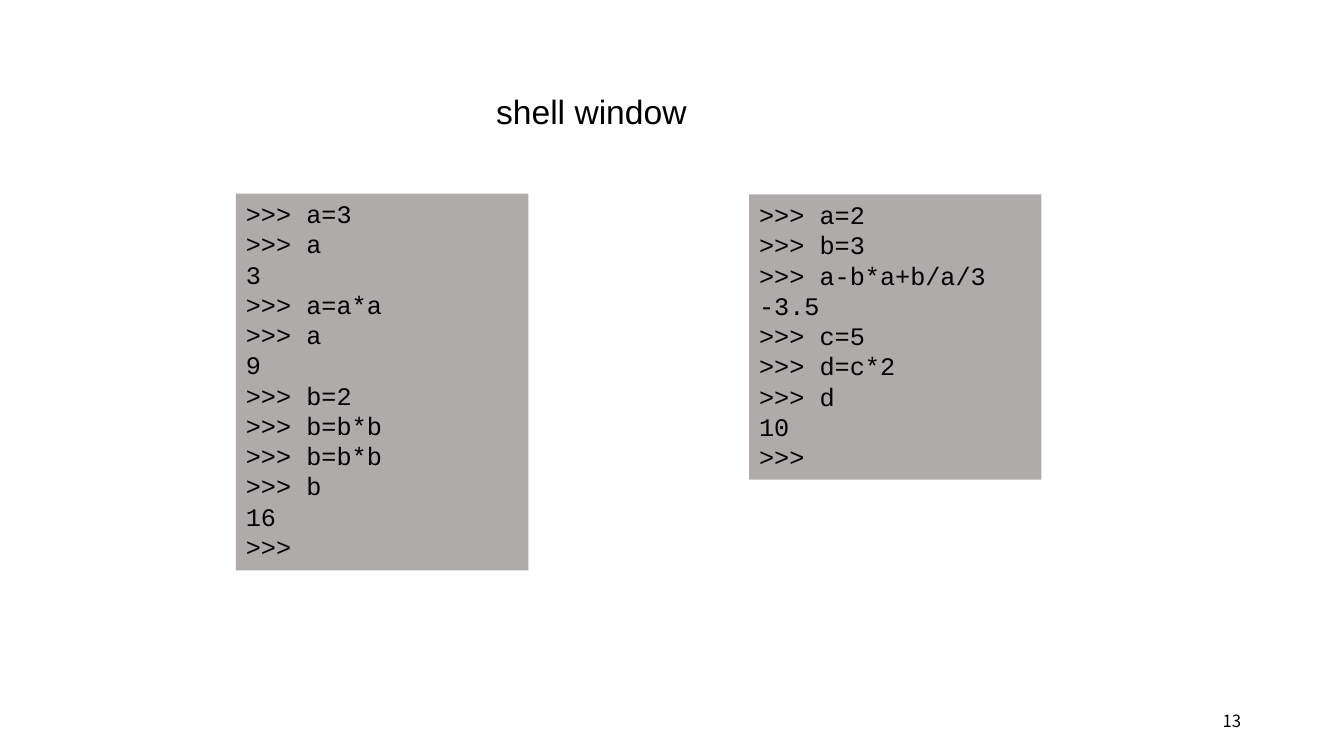
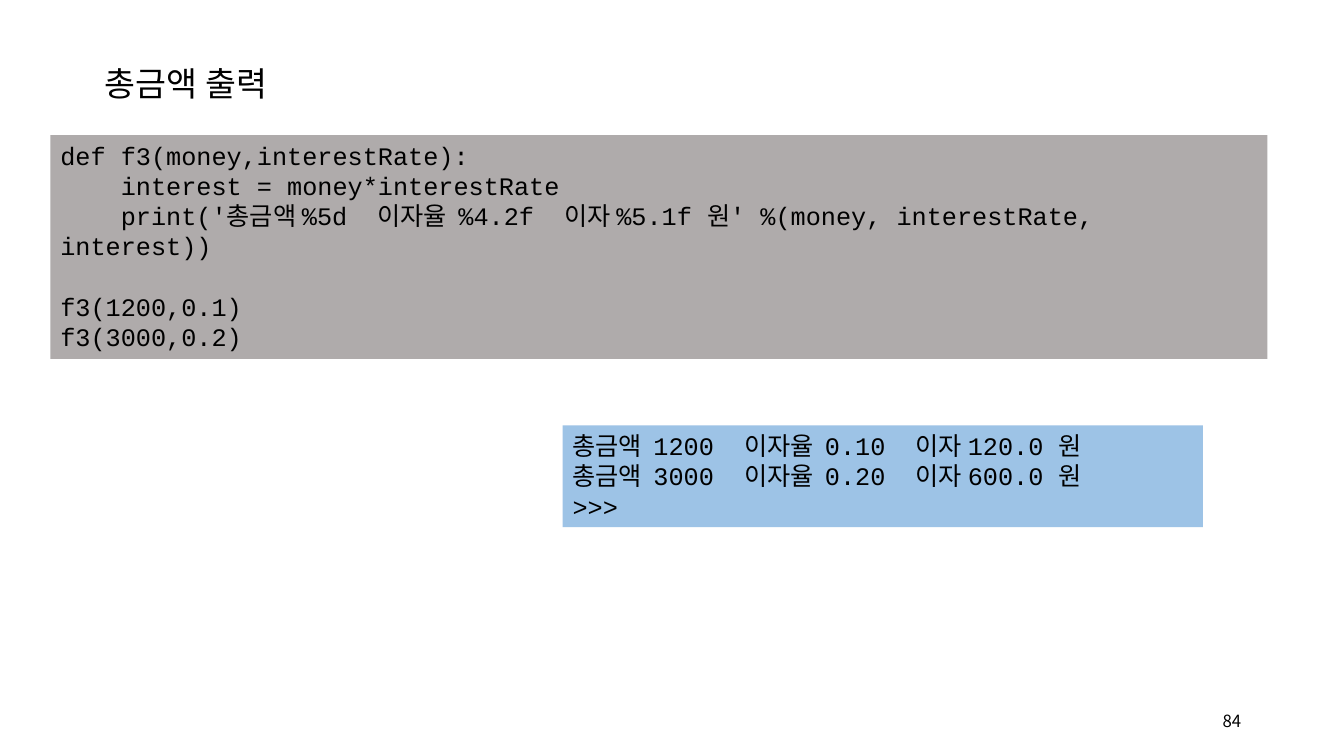
from dataclasses import dataclass

from lxml import etree
from pptx import Presentation
from pptx.dml.color import RGBColor
from pptx.enum.shapes import MSO_SHAPE
from pptx.enum.text import MSO_ANCHOR, MSO_AUTO_SIZE, PP_ALIGN
from pptx.oxml.ns import qn
from pptx.util import Inches, Pt

RECT = MSO_SHAPE.RECTANGLE
TOP, MIDDLE = MSO_ANCHOR.TOP, MSO_ANCHOR.MIDDLE
LEFT, RIGHT = PP_ALIGN.LEFT, PP_ALIGN.RIGHT
FIXED = MSO_AUTO_SIZE.NONE
TITLE_ONLY = 5


@dataclass(frozen=True)
class Theme:
    ink: str = "000000"
    code: str = "AFABAB"
    shell: str = "9DC3E6"
    head: str = "Arial"
    mono: str = "Courier New"
    hangul: str = "Noto Sans CJK KR"
    head_size: int = 24
    code_size: int = 18
    page_size: int = 12
    code_pitch: float = 21.6


THEME = Theme()


def write(shape, text, font, size, align=LEFT, anchor=TOP, wrap=True, pitch=None):
    """Fill a shape with lines; a blank line becomes space before the next."""
    frame = shape.text_frame
    frame.auto_size, frame.word_wrap = FIXED, wrap
    frame.vertical_anchor = anchor
    para, gap = frame.paragraphs[0], 0
    for row, line in enumerate(text.splitlines()):
        if not line:
            gap += pitch
            continue
        if row:
            para = frame.add_paragraph()
        para.alignment = align
        para.space_before = Pt(gap)
        if pitch:
            para.line_spacing = Pt(pitch)
        gap = 0
        run = para.add_run()
        run.text = line
        run.font.size = Pt(size)
        run.font.color.rgb = RGBColor.from_string(THEME.ink)
        run.font.name = font
        east = etree.SubElement(run.font._element, qn("a:ea"))
        east.set("typeface", THEME.hangul)


def add_title(slide, text, box):
    title = slide.shapes.title
    title.left, title.top, title.width, title.height = map(Inches, box)
    write(title, text, THEME.head, THEME.head_size, wrap=False)
    title.text_frame.paragraphs[0].line_spacing = 1.5


def add_page(slide, number):
    box = slide.shapes.add_textbox(*map(Inches, (11.93, 6.95, 0.48, 0.4)))
    write(box, str(number), THEME.hangul, THEME.page_size, RIGHT, MIDDLE)


def add_panel(slide, text, box, fill=THEME.code):
    panel = slide.shapes.add_shape(RECT, *map(Inches, box))
    panel.shadow.inherit = False
    panel.fill.solid()
    panel.fill.fore_color.rgb = RGBColor.from_string(fill)
    panel.line.fill.background()
    write(panel, text, THEME.mono, THEME.code_size, pitch=THEME.code_pitch)


def add_slide(deck, title, box, number):
    slide = deck.slides.add_slide(deck.slide_layouts[TITLE_ONLY])
    add_title(slide, title, box)
    add_page(slide, number)
    return slide


SQUARES = """>>> a=3
>>> a
3
>>> a=a*a
>>> a
9
>>> b=2
>>> b=b*b
>>> b=b*b
>>> b
16
>>>"""

SUMS = """>>> a=2
>>> b=3
>>> a-b*a+b/a/3
-3.5
>>> c=5
>>> d=c*2
>>> d
10
>>>"""

INTEREST = """def f3(money,interestRate):
    interest = money*interestRate
    print('총금액 %5d  이자율  %4.2f  이자 %5.1f 원' %(money, interestRate, interest))

f3(1200,0.1)
f3(3000,0.2)"""

RESULT = """총금액  1200  이자율  0.10  이자 120.0 원
총금액  3000  이자율  0.20  이자 600.0 원
>>>"""


def shell_slide(deck):
    slide = add_slide(deck, "shell window", (4.82, 0.65, 2.11, 0.63), 13)
    add_panel(slide, SQUARES, (2.34, 1.92, 2.9, 3.74))
    add_panel(slide, SUMS, (7.43, 1.93, 2.9, 2.83))


def total_slide(deck):
    slide = add_slide(deck, "총금액 출력", (0.94, 0.37, 1.98, 0.71), 84)
    add_panel(slide, INTEREST, (0.5, 1.34, 12.07, 2.22))
    add_panel(slide, RESULT, (5.58, 4.22, 6.35, 1.01), THEME.shell)


def main():
    deck = Presentation()
    deck.slide_width, deck.slide_height = Inches(13.33), Inches(7.5)
    shell_slide(deck)
    total_slide(deck)
    deck.save("out.pptx")


if __name__ == "__main__":
    main()
